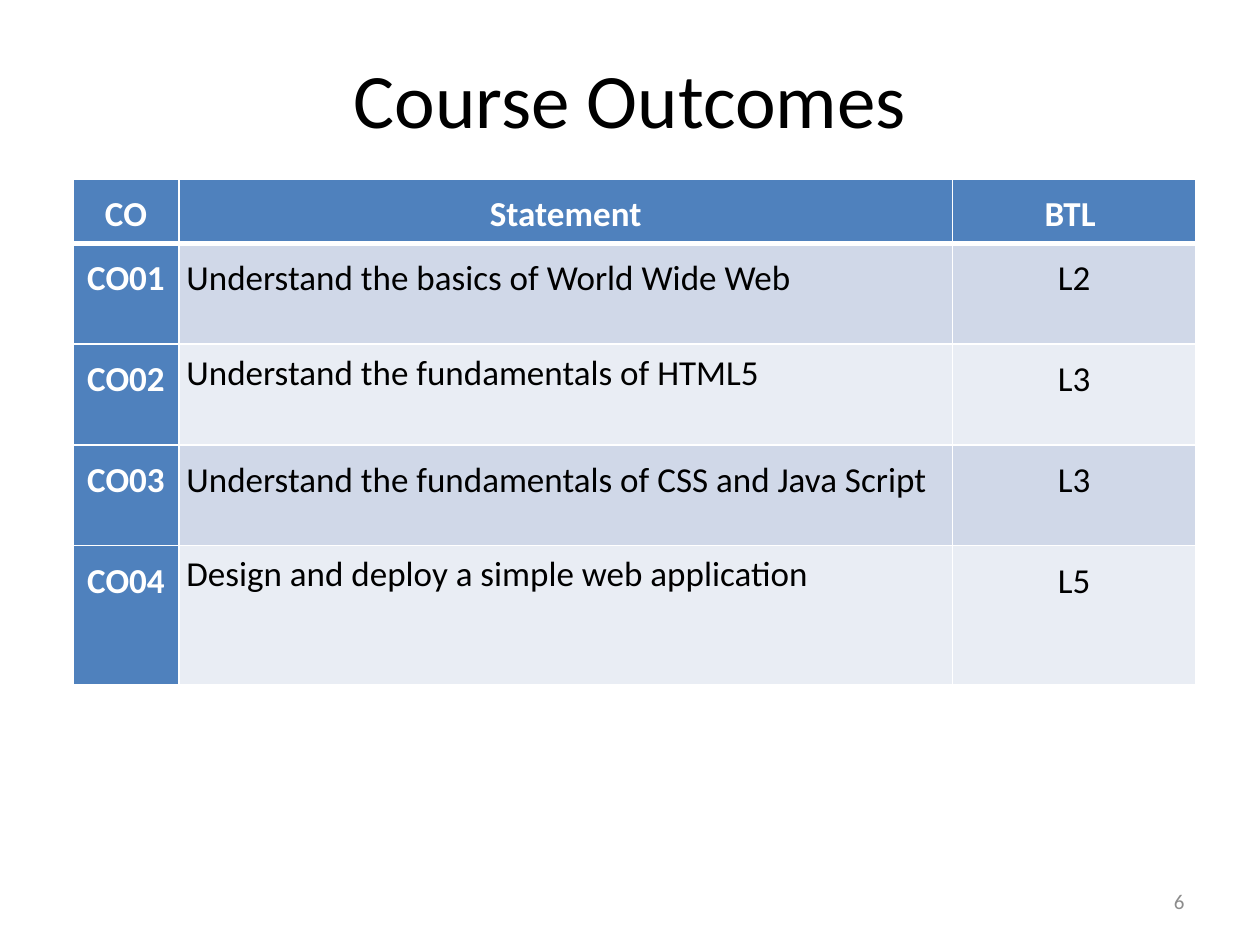
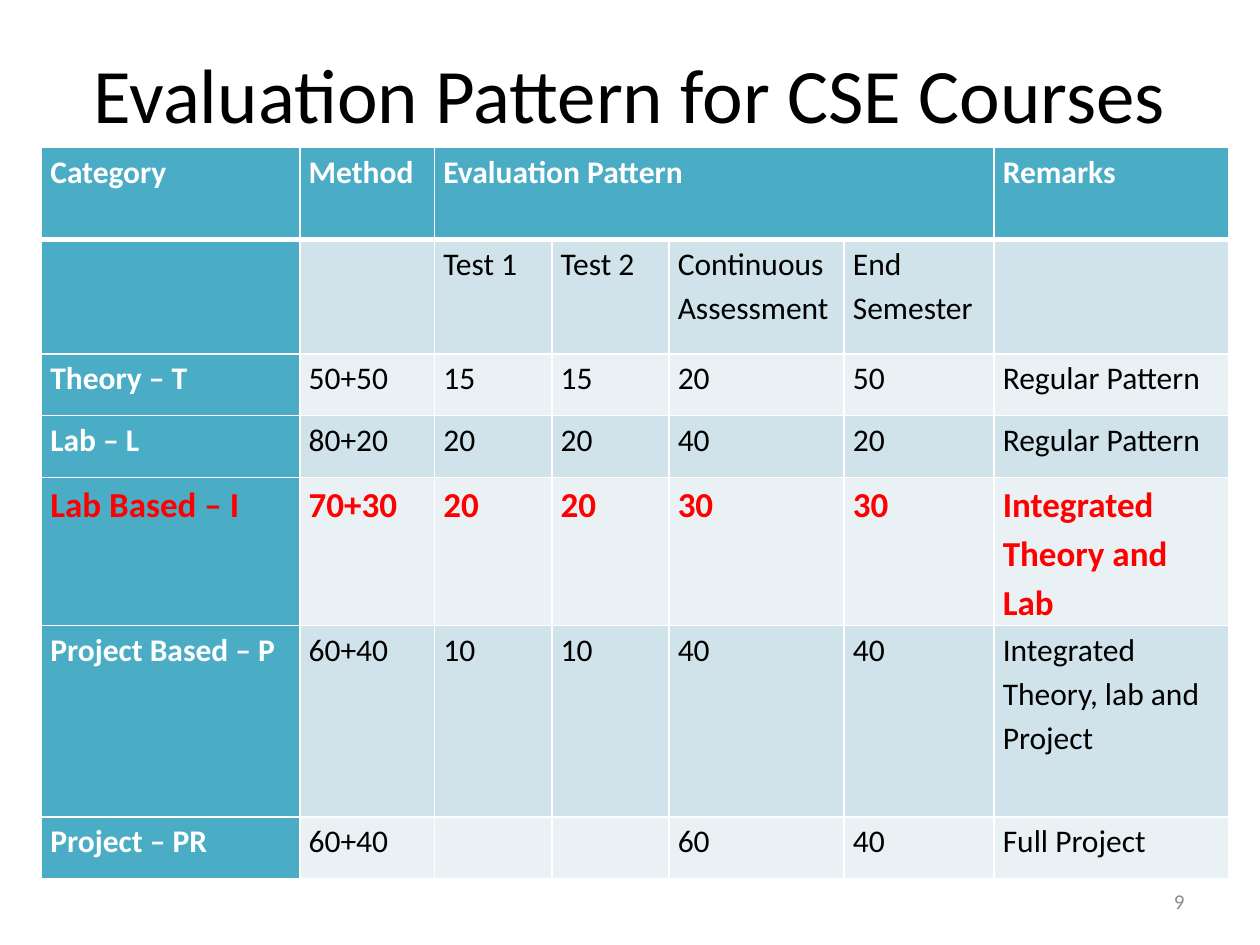
from lxml import etree
from pptx import Presentation
from pptx.dml.color import RGBColor
from pptx.enum.text import MSO_ANCHOR, MSO_AUTO_SIZE, PP_ALIGN
from pptx.oxml.ns import qn
from pptx.util import Inches, Pt

# Shared grid: 100 columns by 75 rows
deck = Presentation()
deck.slide_width, deck.slide_height = Inches(10), Inches(7.5)
COLUMN = deck.slide_width / 100
ROW = deck.slide_height / 75

# Shared colours
WHITE, BLACK, RED, GREY = "FFFFFF", "000000", "FF0000", "8C8C8C"
LEFT, CENTER, RIGHT = PP_ALIGN.LEFT, PP_ALIGN.CENTER, PP_ALIGN.RIGHT


def color(hex_string):
    return RGBColor.from_string(hex_string)


def write(frame, text, size, ink, bold=False, align=LEFT, spacing=1.0):
    frame.text = text
    for para in frame.paragraphs:
        para.alignment, para.line_spacing = align, spacing
        para.space_before = Pt(0)
        for span in para.runs:
            span.font.color.rgb = color(ink)
            for name, value in {"name": "Calibri", "size": Pt(size), "bold": bold}.items():
                setattr(span.font, name, value)


outcomes = {
    "title": "Course Outcomes", "title_rows": 9.5, "number": "6",
    "left": 5.8, "top": 14.2, "inset": (0.6, 0.6), "size": 20,
    "columns": [8.4, 61.4, 19.3], "rows": [4.9, 8, 8, 8, 11],
    "accent": "4F81BD", "bands": ["D0D8E8", "E9EDF4"],
    "aligns": [CENTER, LEFT, CENTER], "header_align": CENTER,
    "merge": None, "highlight": None, "tight": [(2, 1), (4, 1)],
    "cells": [
        ["CO", "Statement", "BTL "],
        ["CO01", "Understand the basics of World Wide Web", "L2"],
        ["CO02", "Understand the fundamentals of HTML5", "L3"],
        ["CO03", "Understand the fundamentals of CSS and Java Script", "L3"],
        ["CO04", "Design and deploy a simple web application", "L5"],
    ],
}
evaluation = {
    "title": "Evaluation Pattern for CSE Courses", "title_rows": 8.7, "number": "9",
    "left": 3.3, "top": 11.7, "inset": (0.7, 0), "size": 18,
    "columns": [20.5, 10.7, 9.3, 9.3, 13.9, 11.9, 18.6],
    "rows": [7.3, 9.1, 4.9, 4.9, 11.7, 15.2, 4.9],
    "accent": "4BACC6", "bands": ["D0E3EA", "E9F1F5"],
    "aligns": [LEFT] * 7, "header_align": LEFT,
    "merge": (2, 5), "highlight": 4, "tight": [],
    "cells": [
        ["Category", "Method", "Evaluation Pattern", "", "", "", "Remarks"],
        ["", "", "Test 1", "Test 2", "Continuous\nAssessment", "End\nSemester", ""],
        ["Theory – T", "50+50", "15", "15", "20", "50", "Regular Pattern"],
        ["Lab – L", "80+20", "20", "20", "40", "20", "Regular Pattern"],
        ["Lab Based – I", "70+30", "20", "20", "30", "30", "Integrated Theory and Lab"],
        ["Project Based – P", "60+40", "10", "10", "40", "40",
         "Integrated Theory, lab and Project"],
        ["Project – PR", "60+40", "", "", "60", "40", "Full Project"],
    ],
}

for content in (outcomes, evaluation):
    page = deck.slides.add_slide(deck.slide_layouts[5])

    # Title
    title = page.shapes.title
    title.left, title.top = int(5 * COLUMN), int(3 * ROW)
    title.width, title.height = int(90 * COLUMN), int(content["title_rows"] * ROW)
    title.text_frame.auto_size = MSO_AUTO_SIZE.NONE
    title.text_frame.vertical_anchor = MSO_ANCHOR.MIDDLE
    write(title.text_frame, content["title"], 44, BLACK, align=CENTER)

    # Table and its grid
    widths, heights = content["columns"], content["rows"]
    table = page.shapes.add_table(
        len(heights), len(widths), int(content["left"] * COLUMN), int(content["top"] * ROW),
        int(sum(widths) * COLUMN), int(sum(heights) * ROW)).table
    for column, width in zip(table.columns, widths):
        column.width = int(width * COLUMN)
    for row, height in zip(table.rows, heights):
        row.height = int(height * ROW)
    if content["merge"]:
        first, last = content["merge"]
        table.cell(0, first).merge(table.cell(0, last))

    # Cells: accent header row and first column, banded body
    side, edge = content["inset"]
    for r, texts in enumerate(content["cells"]):
        for c, text in enumerate(texts):
            cell = table.cell(r, c)
            heading = r == 0 or c == 0
            marked = r == content["highlight"]
            for name, value in {"margin_left": side * COLUMN, "margin_right": side * COLUMN,
                                "margin_top": edge * ROW, "margin_bottom": edge * ROW}.items():
                setattr(cell, name, int(value))
            cell.fill.solid()
            cell.fill.fore_color.rgb = color(
                content["accent"] if heading else content["bands"][(r - 1) % 2])
            if text:
                write(cell.text_frame, text,
                      size=20 if marked else content["size"],
                      ink=RED if marked else WHITE if heading else BLACK,
                      bold=heading or marked,
                      align=content["header_align"] if r == 0 else content["aligns"][c],
                      spacing=1.0 if (r, c) in content["tight"] else 1.15)

            # White borders, thick under the header
            weights = {"lnL": 1, "lnR": 1, "lnT": 3 if r == 1 else 1, "lnB": 3 if r == 0 else 1}
            properties = cell._tc.get_or_add_tcPr()
            for position, (tag, weight) in enumerate(weights.items()):
                line = etree.Element(qn(f"a:{tag}"), w=str(Pt(weight)))
                fill = etree.SubElement(line, qn("a:solidFill"))
                etree.SubElement(fill, qn("a:srgbClr"), val=WHITE)
                properties.insert(position, line)

    # Page number
    box = page.shapes.add_textbox(int(71.7 * COLUMN), int(69.5 * ROW),
                                  int(23.3 * COLUMN), int(4 * ROW))
    box.text_frame.word_wrap = True
    box.text_frame.vertical_anchor = MSO_ANCHOR.MIDDLE
    write(box.text_frame, content["number"], 12, GREY, align=RIGHT)

deck.save("out.pptx")
